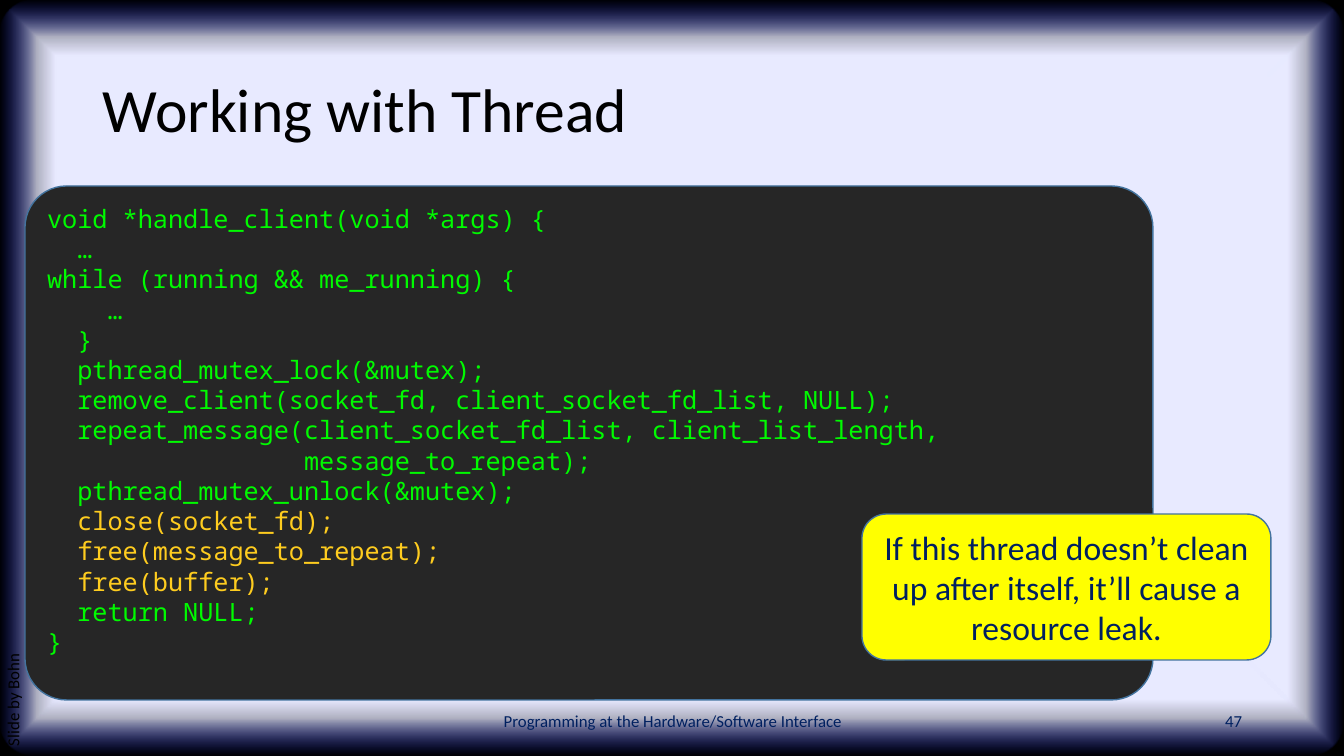
"""Build the thread clean-up slide with its code panel and callout."""
import pptx
import pptx.dml.color
import pptx.enum.shapes
import pptx.enum.text
import pptx.oxml
import pptx.oxml.ns
import pptx.util

COLORS = {
    "black": "000000", "pale": "E8EAFF", "glow": "162AFF", "navy": "002060",
    "panel": "262626", "outline": "43739E", "code": "00FA00",
    "cleanup": "FECC1F", "callout": "FFFF00",
}
PAGE = (0, 0, 1344, 756)
CODE = """void *handle_client(void *args) {
  …
while (running && me_running) {
    …
  }
  pthread_mutex_lock(&mutex);
  remove_client(socket_fd, client_socket_fd_list, NULL);
  repeat_message(client_socket_fd_list, client_list_length,
                 message_to_repeat);
  pthread_mutex_unlock(&mutex);
  close(socket_fd);
  free(message_to_repeat);
  free(buffer);
  return NULL;
}""".split("\n")
CLEANUP_CALLS = ("close(", "free(")
CALLOUT = "If this thread doesn’t clean up after itself, it’ll cause a resource leak."
LABELS = [
    ("Working with Thread", (93, 40, 1159, 146), 44, "black", "LEFT", "MIDDLE", 0.9, 0),
    ("Programming at the Hardware/Software Interface", (446, 701, 454, 40),
     12, "navy", "CENTER", "MIDDLE", 1, 0),
    ("47", (950, 701, 302, 40), 12, "navy", "RIGHT", "MIDDLE", 1, 0),
    ("Slide by Bohn", (-246, 470, 532, 40), 12, "black", "LEFT", "TOP", 0.9, 270),
]
GLOW_STOPS = [(85, "pale", 100), (90, "pale", 75), (100, "glow", 0)]
SCALE = 914400 / 100.8


def emu(box):
    return [pptx.util.Emu(round(length * SCALE)) for length in box]


def color(name):
    return pptx.dml.color.RGBColor.from_string(COLORS[name])


def write(shape, lines, size, font, align="LEFT", anchor="TOP", spacing=1):
    frame = shape.text_frame
    frame.word_wrap = True
    frame.vertical_anchor = getattr(pptx.enum.text.MSO_ANCHOR, anchor)
    for index, (text, tone) in enumerate(lines):
        para = frame.paragraphs[0] if index == 0 else frame.add_paragraph()
        para.alignment = getattr(pptx.enum.text.PP_ALIGN, align)
        para.line_spacing = spacing
        span = para.add_run()
        span.text = text
        for name, value in {"size": pptx.util.Pt(size), "name": font}.items():
            setattr(span.font, name, value)
        span.font.color.rgb = color(tone)


def add_panel(page, kind, box, fill, line=None, corner=None):
    shape = page.shapes.add_shape(getattr(pptx.enum.shapes.MSO_SHAPE, kind), *emu(box))
    shape.shadow.inherit = False
    shape.fill.solid()
    shape.fill.fore_color.rgb = color(fill)
    if line:
        shape.line.color.rgb = color(line)
        shape.line.width = pptx.util.Pt(1)
    else:
        shape.line.fill.background()
    if corner is not None:
        shape.adjustments[0] = corner
    return shape


def add_glow(shape):
    stops = "".join(
        f'<a:gs pos="{place * 1000}"><a:srgbClr val="{COLORS[tone]}">'
        f'<a:alpha val="{opacity * 1000}"/></a:srgbClr></a:gs>'
        for place, tone, opacity in GLOW_STOPS)
    gradient = pptx.oxml.parse_xml(
        f'<a:gradFill {pptx.oxml.ns.nsdecls("a")} rotWithShape="1"><a:gsLst>{stops}</a:gsLst>'
        '<a:path path="shape"><a:fillToRect l="50000" t="50000" r="50000" b="50000"/></a:path>'
        '</a:gradFill>')
    properties = shape.element.spPr
    solid = properties.find(pptx.oxml.ns.qn("a:solidFill"))
    properties.replace(solid, gradient)


def main():
    deck = pptx.Presentation()
    deck.slide_width, deck.slide_height = emu(PAGE[2:])
    page = deck.slides.add_slide(deck.slide_layouts[6])
    add_panel(page, "RECTANGLE", PAGE, "black")
    add_glow(add_panel(page, "ROUNDED_RECTANGLE", PAGE, "pale", corner=0.048))

    for text, box, size, tone, align, anchor, spacing, turn in LABELS:
        label = page.shapes.add_textbox(*emu(box))
        label.rotation = turn
        write(label, [(text, tone)], size, "Calibri", align, anchor, spacing)

    code_panel = add_panel(page, "ROUNDED_RECTANGLE", (25, 186, 1128, 514),
                           "panel", "outline", 0.081)
    code_lines = [(line, "cleanup" if line.strip().startswith(CLEANUP_CALLS) else "code")
                  for line in CODE]
    write(code_panel, code_lines, 18, "Noto Sans Mono")

    callout = add_panel(page, "ROUNDED_RECTANGLE", (862, 514, 409, 146), "callout", "outline")
    write(callout, [(CALLOUT, "navy")], 24, "Calibri", "CENTER", "MIDDLE")
    deck.save("out.pptx")


if __name__ == "__main__":
    main()
